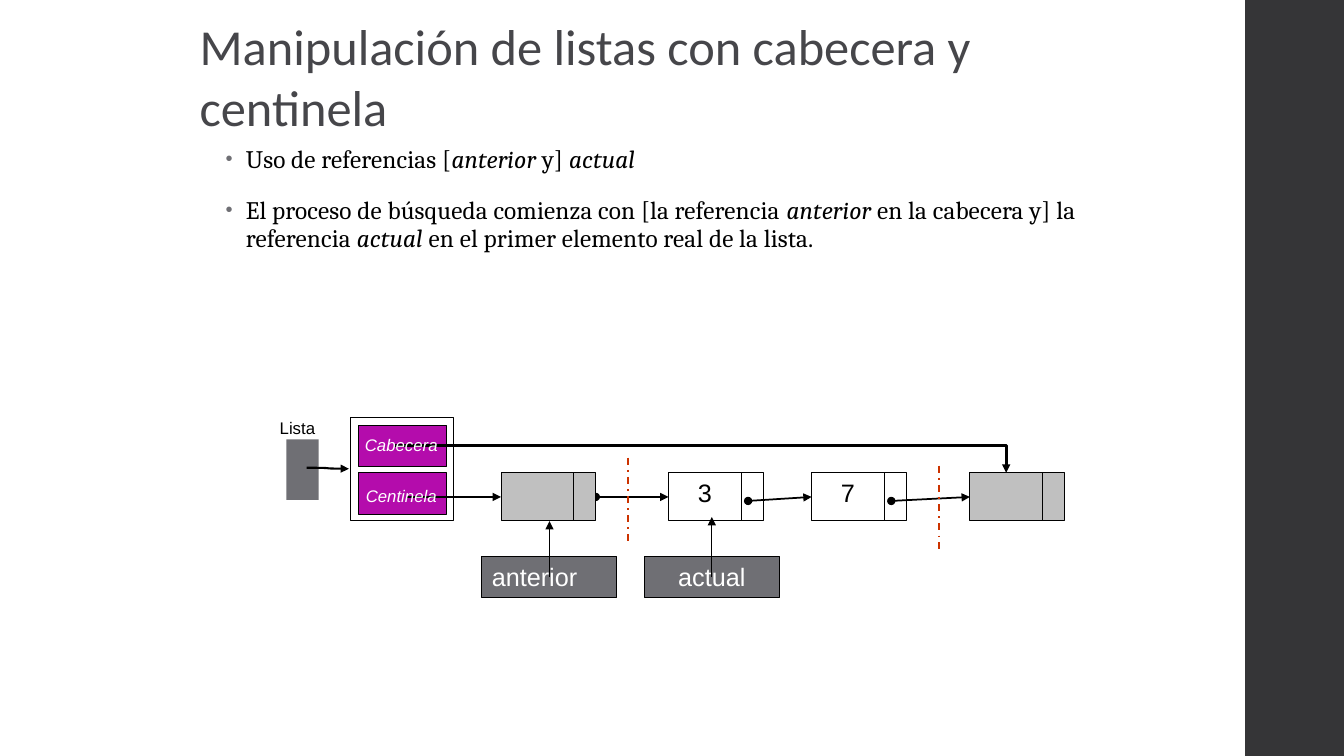
from lxml.etree import SubElement
from pptx import Presentation
from pptx.dml.color import RGBColor
from pptx.enum.dml import MSO_LINE
from pptx.enum.shapes import MSO_CONNECTOR, MSO_SHAPE
from pptx.enum.text import MSO_ANCHOR, PP_ALIGN
from pptx.oxml.ns import qn
from pptx.util import Inches, Pt

COLORS = {"band": "353537", "gray": "6F6F74", "silver": "C0C0C0", "purple": "B40CAC",
          "rust": "CC3300", "title": "46464A", "black": "000000", "white": "FFFFFF"}
TITLE = "Manipulación de listas con cabecera y centinela"
BULLETS = [
    ["Uso de referencias [", "anterior", " y] ", "actual"],
    ["El proceso de búsqueda comienza con [la referencia ", "anterior",
     " en la cabecera y] la referencia ", "actual", " en el primer elemento real de la lista. "],
]
NODES = [(4.97, "", "silver"), (6.63, "3", None), (8.05, "7", None), (9.62, "", "silver")]
POINTERS = [(4.78, "anterior", PP_ALIGN.LEFT, 5.17), (6.39, "actual", PP_ALIGN.CENTER, 5.13)]
LABELS = [(2.41, 4.1, "Lista", "black"), (3.44, 4.26, "Cabecera", "white"),
          (3.44, 4.77, "Centinela", "white")]
SEPARATORS = [(6.23, 4.54), (9.31, 4.62)]
NODE_TOP, NODE_HEIGHT, VALUE_WIDTH, LINK_WIDTH = 4.69, 0.47, 0.72, 0.22
POINTER_TOP, POINTER_WIDTH, FIELD_HEIGHT = 5.52, 1.34, 0.41
LINK_Y, HEADER_Y, SEPARATOR_HEIGHT = 4.93, 4.42, 0.86


def color(name):
    """Return the named palette color."""
    return RGBColor.from_string(COLORS[name])


def style(run, size, font, ink, italic=False):
    """Set the font of one run."""
    run.font.size, run.font.name, run.font.italic = Pt(size), font, italic
    run.font.color.rgb = color(ink)


def write(shape, text, size, ink, align=PP_ALIGN.CENTER, font="Arial", italic=False):
    """Put one styled paragraph at the top of a shape."""
    frame = shape.text_frame
    frame.text, frame.word_wrap, frame.vertical_anchor = text, True, MSO_ANCHOR.TOP
    paragraph = frame.paragraphs[0]
    paragraph.alignment = align
    style(paragraph.runs[0], size, font, ink, italic)


def box(left, top, width, height, fill=None, outlined=True):
    """Add a plain rectangle."""
    shape = slide.shapes.add_shape(MSO_SHAPE.RECTANGLE, *map(Inches, (left, top, width, height)))
    shape.shadow.inherit = False
    if fill:
        shape.fill.solid()
        shape.fill.fore_color.rgb = color(fill)
    else:
        shape.fill.background()
    if outlined:
        shape.line.color.rgb = color("black")
        shape.line.width = Pt(0.75)
    else:
        shape.line.fill.background()
    return shape


def textbox(left, top, width, height):
    """Add a wrapping text box."""
    shape = slide.shapes.add_textbox(*map(Inches, (left, top, width, height)))
    shape.text_frame.word_wrap = True
    return shape


def line(start, end, width, ink="black", kind=MSO_CONNECTOR.STRAIGHT, head=None, tail="triangle"):
    """Add a connector with optional ends."""
    connector = slide.shapes.add_connector(kind, *map(Inches, start + end))
    connector.line.color.rgb = color(ink)
    connector.line.width = Pt(width)
    outline = connector.line._get_or_add_ln()
    for tag, end_type in (("a:headEnd", head), ("a:tailEnd", tail)):
        if end_type:
            SubElement(outline, qn(tag)).set("type", end_type)
    SubElement(connector._element.spPr, qn("a:effectLst"))
    return connector


def node(left, value, fill):
    """Add a list node made of a value cell and a link cell."""
    cell = box(left, NODE_TOP, VALUE_WIDTH, NODE_HEIGHT, fill)
    if value:
        write(cell, value, 18, "black")
    box(left + VALUE_WIDTH, NODE_TOP, LINK_WIDTH, NODE_HEIGHT, fill)


def bullet(paragraph, parts):
    """Fill a bulleted paragraph, every second part in italics."""
    paragraph.line_spacing, paragraph.space_before, paragraph.space_after = 0.95, Pt(14), Pt(2)
    properties = paragraph._p.get_or_add_pPr()
    properties.set("marL", str(Inches(0.2)))
    properties.set("indent", str(-Inches(0.2)))
    SubElement(SubElement(properties, qn("a:buClr")), qn("a:srgbClr")).set("val", COLORS["gray"])
    SubElement(properties, qn("a:buSzPct")).set("val", "80000")
    SubElement(properties, qn("a:buFont")).set("typeface", "Arial")
    SubElement(properties, qn("a:buChar")).set("char", "•")
    for index, part in enumerate(parts):
        run = paragraph.add_run()
        run.text = part
        style(run, 18, "Cambria", "black", index % 2 == 1)
        run._r.get_or_add_rPr().set("spc", "10")


presentation = Presentation()
presentation.slide_width, presentation.slide_height = Inches(13.33), Inches(7.5)
slide = presentation.slides.add_slide(presentation.slide_layouts[6])
box(12.35, 0, 0.98, 7.5, "band", outlined=False)

node_width = VALUE_WIDTH + LINK_WIDTH
line((NODES[0][0] + node_width, LINK_Y), (NODES[1][0], LINK_Y), 1.25, head="oval")
for left, value, fill in NODES:
    node(left, value, fill)
for (left, _, _), (target, _, _) in zip(NODES[1:], NODES[2:]):
    line((left + VALUE_WIDTH + 0.07, 4.97), (target, LINK_Y), 1.25, head="oval")

for top in (4.22, 4.69):
    box(3.56, top, 0.87, FIELD_HEIGHT, "purple")
box(3.48, 4.14, 1.02, 1.02)
for x, top in SEPARATORS:
    separator = line((x, top), (x, top + SEPARATOR_HEIGHT), 1.25, "rust", tail=None)
    separator.line.dash_style = MSO_LINE.DASH_DOT

elbow = line((3.91, HEADER_Y), (9.98, NODE_TOP), 2, kind=MSO_CONNECTOR.ELBOW)
elbow._element.spPr.find(qn("a:prstGeom")).set("prst", "bentConnector2")
line((4.03, LINK_Y), (NODES[0][0], LINK_Y), 2)
box(2.84, 4.36, 0.32, 0.6, "gray", outlined=False)
line((3.04, 4.64), (3.46, 4.65), 1.5, kind=MSO_CONNECTOR.CURVE)
for left, top, text, ink in LABELS:
    write(textbox(left, top, 1.08, 0.3), text, 12, ink, italic=ink == "white")

for left, text, align, tip in POINTERS:
    write(box(left, POINTER_TOP, POINTER_WIDTH, FIELD_HEIGHT, "gray"), text, 18, "white", align)
    middle = left + POINTER_WIDTH / 2
    line((middle, POINTER_TOP + FIELD_HEIGHT / 2), (middle, tip), 0.75)

title = textbox(1.98, 0.44, 9.45, 0.91)
write(title, TITLE, 36, "title", PP_ALIGN.LEFT, "Calibri")
title.text_frame.vertical_anchor = MSO_ANCHOR.BOTTOM
title.text_frame.margin_left = title.text_frame.margin_right = title.text_frame.margin_bottom = 0

body = textbox(2.14, 1.39, 9, 2.4).text_frame
for index, parts in enumerate(BULLETS):
    bullet(body.add_paragraph() if index else body.paragraphs[0], parts)

presentation.save("out.pptx")
